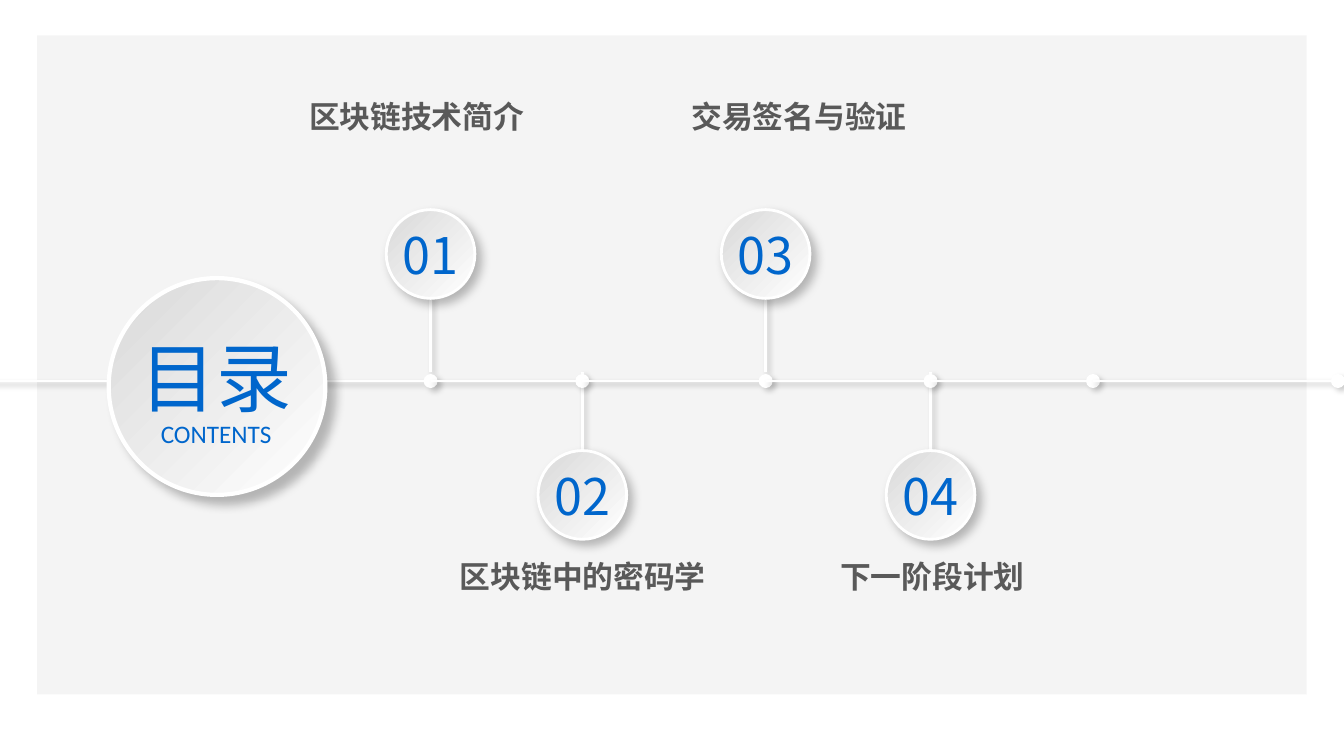
"""Build a contents slide: four numbered stations on a horizontal timeline."""
from itertools import pairwise

from lxml.etree import SubElement
from pptx import Presentation
from pptx.dml.color import RGBColor as RGB
from pptx.enum.shapes import MSO_CONNECTOR as CONN, MSO_SHAPE as SHAPE
from pptx.enum.text import MSO_ANCHOR as ANCHOR, PP_ALIGN as ALIGN
from pptx.oxml import parse_xml
from pptx.oxml.ns import nsdecls, qn
from pptx.util import Inches, Pt

COLORS = {"panel": "F2F2F2", "white": "FFFFFF", "grey": "D9D9D9",
          "blue": "0066CC", "title": "595959", "shadow": "000000"}
CJK = "Noto Sans CJK SC"
NUMBER = {"size": Pt(36), "name": CJK}
TITLE = {"size": Pt(22), "name": CJK, "bold": True}

prs = Presentation()
prs.slide_width, prs.slide_height = Inches(13.34), Inches(7.5)
vw, vh = prs.slide_width / 100, prs.slide_height / 100
slide = prs.slides.add_slide(prs.slide_layouts[6])
shapes = slide.shapes


def add_shadow(s, alpha, blur, dist):
    s._element.spPr.append(parse_xml(
        f'<a:effectLst {nsdecls("a")}><a:outerShdw blurRad="{Pt(blur)}" '
        f'dist="{Pt(dist)}" dir="2700000" algn="tl" rotWithShape="0">'
        f'<a:srgbClr val="{COLORS["shadow"]}"><a:alpha val="{alpha * 1000}"/>'
        '</a:srgbClr></a:outerShdw></a:effectLst>'))


def add_text(text, x, y, w, h, color, font):
    s = shapes.add_textbox(int((x - w / 2) * vw), int((y - h / 2) * vh),
                           int(w * vw), int(h * vh))
    tf = s.text_frame
    tf.word_wrap, tf.vertical_anchor = True, ANCHOR.MIDDLE
    p = tf.paragraphs[0]
    p.alignment = ALIGN.CENTER
    r = p.add_run()
    r.text = text
    r.font.color.rgb = RGB.from_string(COLORS[color])
    for key, value in font.items():
        setattr(r.font, key, value)
    SubElement(r.font._element, qn("a:ea"), typeface=font["name"])


panel = shapes.add_shape(SHAPE.RECTANGLE, int(2.77 * vw), int(4.67 * vh),
                         int(94.45 * vw), int(87.2 * vh))
panel.shadow.inherit = False
panel.line.fill.background()
panel.fill.solid()
panel.fill.fore_color.rgb = RGB.from_string(COLORS["panel"])
SubElement(panel.fill._xPr.find(".//" + qn("a:srgbClr")), qn("a:alpha"), val="78000")

axis = 50.4
rows = {"up": (33.6, 15.4), "down": (65.47, 76.2)}
stations = [("01", 32.04, "up", "区块链技术简介", 31),
            ("02", 43.33, "down", "区块链中的密码学", 43.37),
            ("03", 56.97, "up", "交易签名与验证", 59.45),
            ("04", 69.24, "down", "下一阶段计划", 69.38)]
xs = [-4.12] + [station[1] for station in stations] + [81.33, 99.55]

lines = [(x, axis - 1.2, x, rows[side][0]) for _, x, side, _, _ in stations]
lines += [(x1, axis, x2, axis) for x1, x2 in pairwise(xs)]
for x1, y1, x2, y2 in lines:
    s = shapes.add_connector(CONN.STRAIGHT, int(x1 * vw), int(y1 * vh),
                             int(x2 * vw), int(y2 * vh))
    s.line.width = Pt(2)
    s.line.color.rgb = RGB.from_string(COLORS["white"])
    SubElement(s.line._get_or_add_ln(), qn("a:tailEnd"), type="oval", w="lg", len="lg")
    add_shadow(s, 20, 4, 3)

circles = [(16.15, 51.13, 16.12, 3, 8)]
circles += [(x, rows[side][0], 6.6, 2, 5) for _, x, side, _, _ in stations]
for x, y, size, width, dist in circles:
    d = int(size * vw)
    s = shapes.add_shape(SHAPE.OVAL, int(x * vw - d / 2), int(y * vh - d / 2), d, d)
    s.fill.gradient()
    s.fill.gradient_angle = 315
    for stop, color in zip(s.fill.gradient_stops, ("grey", "white")):
        stop.color.rgb = RGB.from_string(COLORS[color])
    s.line.width = Pt(width)
    s.line.color.rgb = RGB.from_string(COLORS["white"])
    add_shadow(s, 25, 7, dist)

add_text("目录", 16.08, 49.8, 14.6, 13.5, "blue", {"size": Pt(54), "name": CJK})
add_text("CONTENTS", 16.08, 57.33, 11.3, 5.33, "blue", {"size": Pt(18), "name": "Calibri"})
for number, x, side, title, title_x in stations:
    number_y, title_y = rows[side]
    add_text(number, x, number_y, 6, 9.47, "blue", NUMBER)
    add_text(title, title_x, title_y, 24, 6.27, "title", TITLE)

prs.save("out.pptx")
